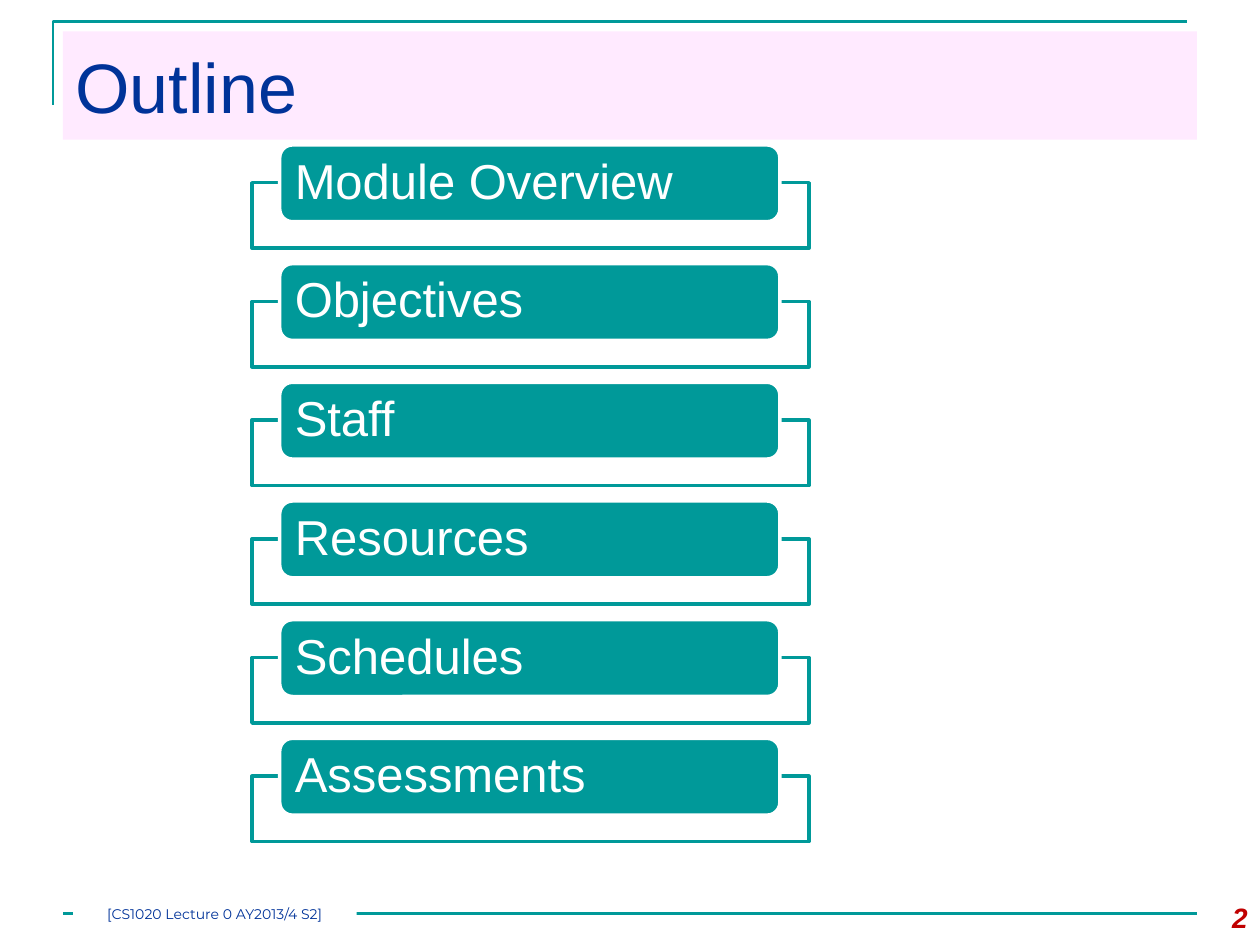
from lxml import etree
from pptx import Presentation
from pptx.dml.color import RGBColor
from pptx.enum.shapes import MSO_CONNECTOR, MSO_SHAPE
from pptx.enum.text import MSO_ANCHOR, PP_ALIGN
from pptx.oxml.ns import qn
from pptx.util import Inches, Pt

TITLE = "Outline"
TOPICS = ["Module Overview", "Objectives", "Staff", "Resources", "Schedules", "Assessments"]
FOOTER = "[CS1020 Lecture 0 AY2013/4 S2]"
PAGE_NUMBER = "2"

TEAL, NAVY, WHITE, PINK, RED = "009999", "003399", "FFFFFF", "FFCCFF", "C00000"

TOPIC_TOP, TOPIC_PITCH = 1.15, 0.942
FRAME_DROP = 0.3  # distance from the top of a topic to the top of its frame


def color(hex_string):
    return RGBColor.from_string(hex_string)


def set_line(shape, line_color, width):
    shape.line.color.rgb = color(line_color)
    shape.line.width = Pt(width)


def add_box(slide, kind, box, fill, opacity=100, line=None):
    shape = slide.shapes.add_shape(kind, *map(Inches, box))
    shape.shadow.inherit = False
    shape.fill.solid()
    shape.fill.fore_color.rgb = color(fill)
    if opacity < 100:
        fill_color = shape._element.spPr.find(qn("a:solidFill"))[0]
        etree.SubElement(fill_color, qn("a:alpha"), val=str(opacity * 1000))
    if line:
        set_line(shape, *line)
    else:
        shape.line.fill.background()
    return shape


def write(shape, text, size, text_color, name="Arial", align=PP_ALIGN.LEFT,
          anchor=MSO_ANCHOR.MIDDLE, margins=(0.1, 0.05), line_spacing=1.0, **font_format):
    frame = shape.text_frame
    side, end = map(Inches, margins)
    frame_format = dict(word_wrap=True, vertical_anchor=anchor, margin_left=side,
                        margin_right=side, margin_top=end, margin_bottom=end)
    for key, value in frame_format.items():
        setattr(frame, key, value)
    paragraph = frame.paragraphs[0]
    paragraph.alignment = align
    paragraph.line_spacing = line_spacing
    run = paragraph.add_run()
    run.text = text
    run.font.color.rgb = color(text_color)
    for key, value in dict(font_format, size=Pt(size), name=name).items():
        setattr(run.font, key, value)


def add_decoration(slide):
    builder = slide.shapes.build_freeform(Inches(0.42), Inches(0.83))
    builder.add_line_segments([(Inches(0.42), Inches(0.17)), (Inches(9.42), Inches(0.17))],
                              close=False)
    corner = builder.convert_to_shape()
    corner.shadow.inherit = False
    corner.fill.background()
    set_line(corner, TEAL, 1.5)

    rule = slide.shapes.add_connector(MSO_CONNECTOR.STRAIGHT, *map(Inches, (0.5, 7.25, 9.5, 7.25)))
    etree.SubElement(rule._element.spPr, qn("a:effectLst"))
    set_line(rule, TEAL, 1.5)


def add_footer(slide):
    footer = add_box(slide, MSO_SHAPE.RECTANGLE, (0.58, 7.17, 2.25, 0.17), WHITE)
    write(footer, FOOTER, 8, NAVY, name="Montserrat", align=PP_ALIGN.CENTER, margins=(0, 0))
    number = slide.shapes.add_textbox(*map(Inches, (9.33, 7.1, 0.67, 0.4)))
    write(number, PAGE_NUMBER, 16, RED, align=PP_ALIGN.RIGHT, anchor=MSO_ANCHOR.TOP,
          bold=True, italic=True)


def add_topics(slide):
    for index, topic in enumerate(TOPICS):
        top = TOPIC_TOP + index * TOPIC_PITCH
        add_box(slide, MSO_SHAPE.RECTANGLE, (2, top + FRAME_DROP, 4.42, 0.52), WHITE, 90, (TEAL, 2))
        label = add_box(slide, MSO_SHAPE.ROUNDED_RECTANGLE, (2.22, top, 3.97, 0.61), TEAL,
                        line=(WHITE, 2))
        write(label, topic, 28, WHITE, margins=(0.09, 0), line_spacing=0.9)


def main():
    presentation = Presentation()
    presentation.slide_width, presentation.slide_height = Inches(10), Inches(7.5)
    slide = presentation.slides.add_slide(presentation.slide_layouts[6])
    add_decoration(slide)
    add_footer(slide)
    add_topics(slide)
    title = add_box(slide, MSO_SHAPE.RECTANGLE, (0.5, 0.25, 9, 0.86), PINK, 40)
    write(title, TITLE, 40, NAVY)
    presentation.save("out.pptx")


if __name__ == "__main__":
    main()
